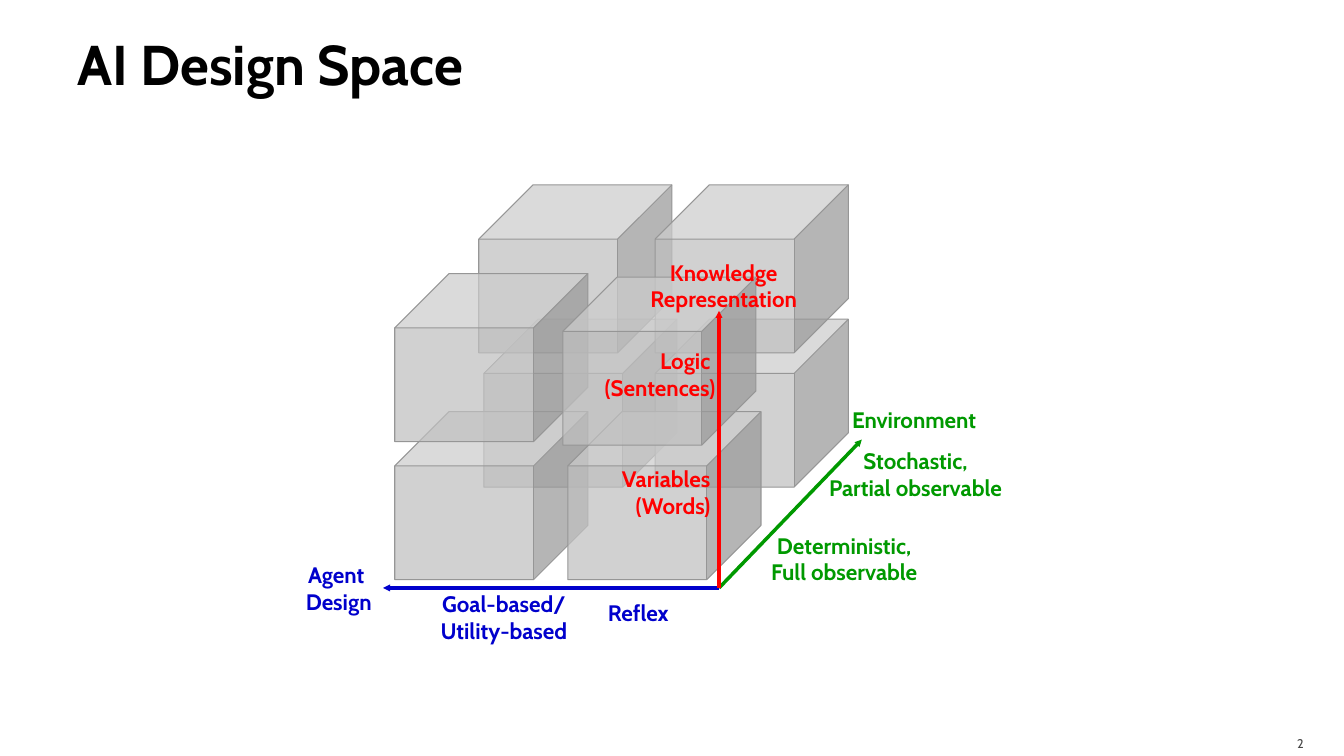
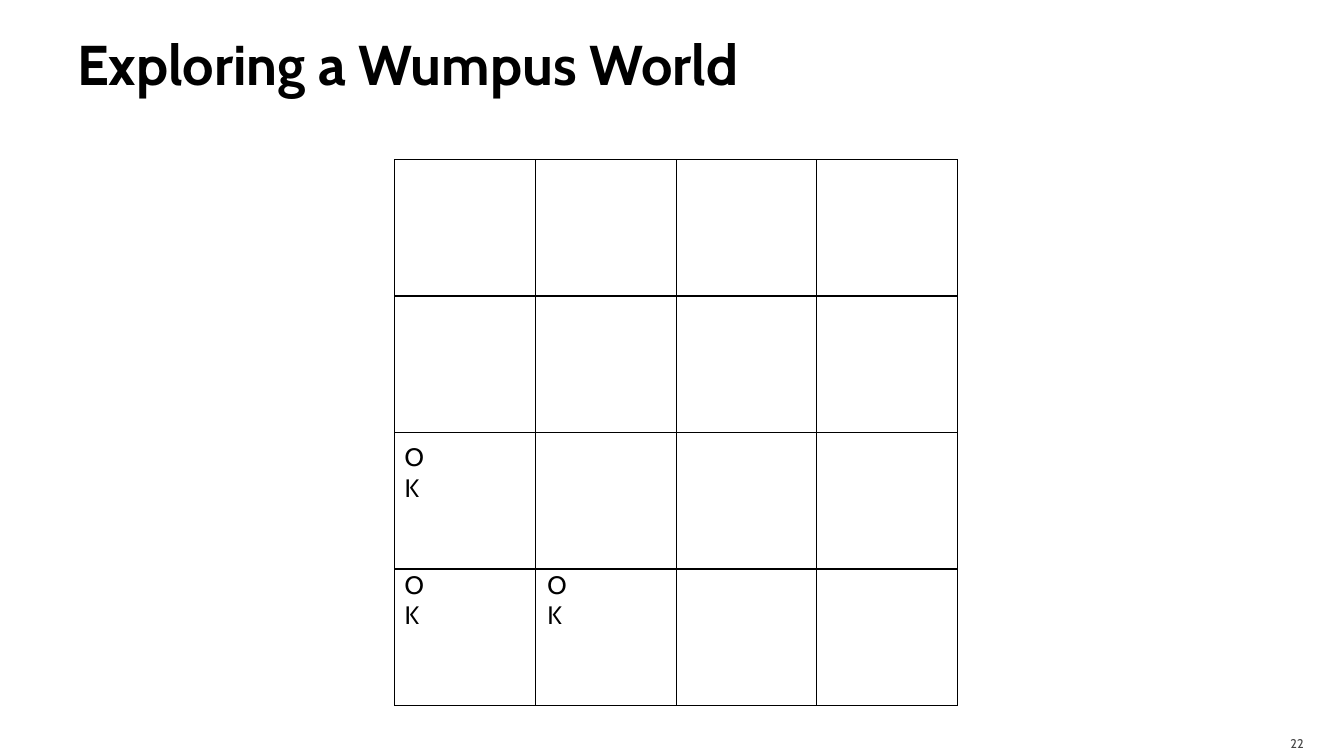
import pptx
import pptx.util
import pptx.dml.color
import pptx.enum.shapes
import pptx.enum.text
import pptx.oxml
import pptx.oxml.ns
from dataclasses import dataclass
from lxml import etree

Pt = pptx.util.Pt
ALIGN = pptx.enum.text.PP_ALIGN
ANCHOR = pptx.enum.text.MSO_ANCHOR


@dataclass(frozen=True)
class Theme:
    font: str = "Cabin"
    ink: str = "000000"
    page_ink: str = "454545"
    agent: str = "0000CC"
    knowledge: str = "FF0000"
    environment: str = "009900"
    cube: str = "C0C0C0"
    cube_edge: str = "969696"
    cube_opacity: int = 72
    title_size: int = 40
    label_size: int = 16
    mark_size: int = 18
    page_size: int = 9
    axis_width: float = 2.5
    edge_width: float = 0.75
    grid_width: float = 1


THEME = Theme()
INSETS = (7.2, 3.6, 7.2, 3.6)
FLUSH = (0, 0, 0, 0)

# Content: design space, in points
CUBE_SIZE = (138, 120)
CUBE_DEPTH = 0.323
CUBE_CORNERS = [  # back to front
    (345.6, 228), (342, 132), (468, 228), (468, 132),
    (282, 294), (405.6, 294), (282, 195.4), (402, 198),
]
ORIGIN = (513.6, 420)
AXES = [
    ((615.6, 314), THEME.environment),
    ((273.6, 420), THEME.agent),
    ((513.6, 222), THEME.knowledge),
]
LABEL_SIZE = (160, 46)
CENTRED_LABELS = [  # lines, middle of the label, colour
    (("Agent ", "Design"), (242, 420), THEME.agent),
    (("Knowledge", "Representation"), (517, 204), THEME.knowledge),
    (("Environment",), (653, 300), THEME.environment),
    (("Stochastic,", "Partial observable"), (654, 338.4), THEME.environment),
    (("Deterministic,", "Full observable"), (603, 399), THEME.environment),
    (("Goal-based/", "Utility-based"), (360, 441), THEME.agent),
    (("Reflex",), (456, 437.5), THEME.agent),
]
LEVEL_LABELS = [  # lines, box, colour
    (("Variables", "(Words)"), (440, 336.4, 67.5, 30), THEME.knowledge),
    (("Logic ", "(Sentences)"), (426, 252, 85, 30), THEME.knowledge),
]

# Content: Wumpus world
GRID_SIDE = 4
GRID_BOX = (282, 114, 402, 390)
SAFE_MARK = "OK"
SAFE_SQUARES = [(0, 3, -3.3), (0, 2, 3), (1, 3, -3.3)]  # column, row, nudge down
MARK_SIZE = (38.2, 29)


def rgb(colour):
    return pptx.dml.color.RGBColor.from_string(colour)


def points(values):
    return [Pt(value) for value in values]


def add_text(slide, lines, box, size, colour, bold=False, align=ALIGN.LEFT,
             anchor=ANCHOR.MIDDLE, insets=INSETS, wrap=True):
    frame = slide.shapes.add_textbox(*points(box)).text_frame
    frame.word_wrap = wrap
    frame.vertical_anchor = anchor
    (frame.margin_left, frame.margin_top,
     frame.margin_right, frame.margin_bottom) = points(insets)
    paragraph = frame.paragraphs[0]
    paragraph.alignment = align
    for index, line in enumerate(lines):
        if index:
            paragraph.add_line_break()
        run = paragraph.add_run()
        run.text = line
        run.font.name = THEME.font
        run.font.size = Pt(size)
        run.font.bold = bold
        run.font.color.rgb = rgb(colour)
    return frame


def add_slide(deck, title, number):
    slide = deck.slides.add_slide(deck.slide_layouts[6])
    add_text(slide, [title], (48, 6, 864, 78), THEME.title_size, THEME.ink,
             bold=True, insets=(7.2, 3.6, 3.6, 3.6))
    add_text(slide, [str(number)], (861.3, 518.4, 77, 21.6), THEME.page_size,
             THEME.page_ink, align=ALIGN.RIGHT, insets=(7.2, 3.6, 7.2, 0))
    return slide


def add_cube(slide, corner):
    cube = slide.shapes.add_shape(pptx.enum.shapes.MSO_SHAPE.CUBE,
                                  *points(corner + CUBE_SIZE))
    cube.adjustments[0] = CUBE_DEPTH
    cube.shadow.inherit = False
    cube.fill.solid()
    cube.fill.fore_color.rgb = rgb(THEME.cube)
    cube.line.color.rgb = rgb(THEME.cube_edge)
    cube.line.width = Pt(THEME.edge_width)
    shade = cube.fill._xPr.find(".//" + pptx.oxml.ns.qn("a:srgbClr"))
    etree.SubElement(shade, pptx.oxml.ns.qn("a:alpha"),
                     val=str(THEME.cube_opacity * 1000))


def add_axis(slide, tip, colour):
    axis = slide.shapes.add_connector(pptx.enum.shapes.MSO_CONNECTOR.STRAIGHT,
                                      *points(ORIGIN + tip))
    axis.line.color.rgb = rgb(colour)
    axis.line.width = Pt(THEME.axis_width)
    etree.SubElement(axis.line._get_or_add_ln(), pptx.oxml.ns.qn("a:tailEnd"),
                     type="triangle", w="sm", len="sm")
    etree.SubElement(axis._element.spPr, pptx.oxml.ns.qn("a:effectLst"))


def add_label(slide, lines, box, colour, align, insets=INSETS):
    add_text(slide, lines, box, THEME.label_size, colour, bold=True,
             align=align, insets=insets, wrap=False)


def outline_cell(cell):
    cell.fill.background()
    properties = cell._tc.get_or_add_tcPr()
    for index, side in enumerate(("lnL", "lnR", "lnT", "lnB")):
        properties.insert(index, pptx.oxml.parse_xml(
            f'<a:{side} {pptx.oxml.ns.nsdecls("a")} w="{Pt(THEME.grid_width)}">'
            f'<a:solidFill><a:srgbClr val="{THEME.ink}"/></a:solidFill></a:{side}>'))


def build_design_space(deck):
    slide = add_slide(deck, "AI Design Space", 2)
    for corner in CUBE_CORNERS:
        add_cube(slide, corner)
    width, height = LABEL_SIZE
    for lines, (middle_x, middle_y), colour in CENTRED_LABELS:
        box = (middle_x - width / 2, middle_y - height / 2, width, height)
        add_label(slide, lines, box, colour, ALIGN.CENTER)
    for lines, box, colour in LEVEL_LABELS:
        add_label(slide, lines, box, colour, ALIGN.RIGHT, FLUSH)
    for tip, colour in AXES:
        add_axis(slide, tip, colour)


def build_wumpus_world(deck):
    slide = add_slide(deck, "Exploring a Wumpus World", 22)
    left, top, width, height = GRID_BOX
    column_width, row_height = width / GRID_SIDE, height / GRID_SIDE
    grid = slide.shapes.add_table(GRID_SIDE, GRID_SIDE, *points(GRID_BOX)).table
    grid.first_row = grid.horz_banding = False
    for column in grid.columns:
        column.width = Pt(column_width)
    for row in grid.rows:
        row.height = Pt(row_height)
    for cell in grid.iter_cells():
        outline_cell(cell)
    # The narrow boxes stack the two letters of each mark
    for column, row, nudge in SAFE_SQUARES:
        corner = (left + column * (column_width + 1.5),
                  top + row * row_height + nudge)
        frame = add_text(slide, [SAFE_MARK], corner + MARK_SIZE, THEME.mark_size,
                         THEME.ink, anchor=ANCHOR.TOP)
        frame.auto_size = pptx.enum.text.MSO_AUTO_SIZE.SHAPE_TO_FIT_TEXT


def main():
    deck = pptx.Presentation()
    deck.slide_width, deck.slide_height = Pt(960), Pt(540)
    build_design_space(deck)
    build_wumpus_world(deck)
    deck.save("out.pptx")


if __name__ == "__main__":
    main()
